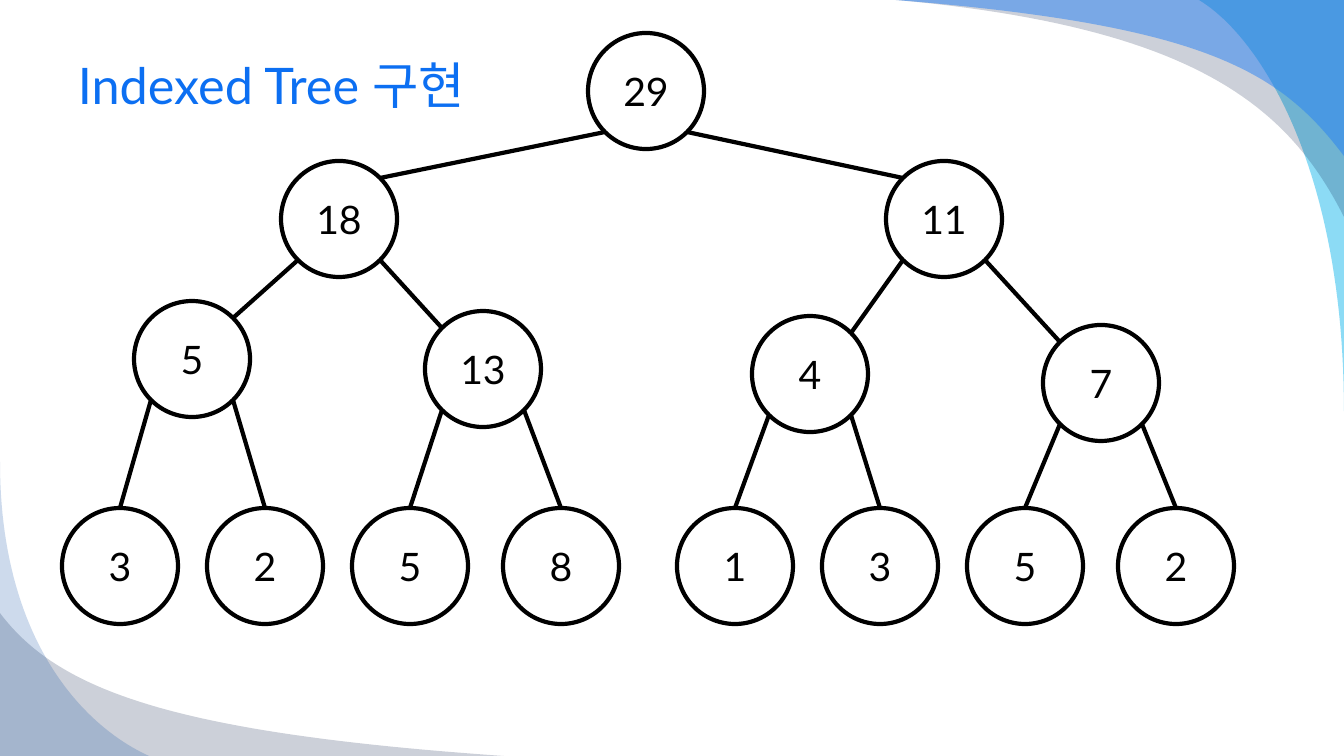
from dataclasses import dataclass
from lxml.etree import SubElement
from pptx import Presentation
from pptx.dml.color import RGBColor
from pptx.enum.shapes import MSO_CONNECTOR, MSO_SHAPE
from pptx.enum.text import MSO_ANCHOR, PP_ALIGN
from pptx.oxml.ns import qn
from pptx.util import Pt


@dataclass
class Theme:
    font: str = "Lato"
    title: RGBColor = RGBColor(0x0C, 0x6F, 0xF2)
    ink: RGBColor = RGBColor(0, 0, 0)
    paper: RGBColor = RGBColor(255, 255, 255)
    cyan: RGBColor = RGBColor(0x00, 0xB1, 0xE9)
    navy: RGBColor = RGBColor(0x02, 0x17, 0x41)
    blue: RGBColor = RGBColor(0x24, 0x7F, 0xF4)
    deep: RGBColor = RGBColor(0x08, 0x4A, 0xA1)
    title_size: Pt = Pt(36)
    node_size: Pt = Pt(28)
    stroke: Pt = Pt(3)


theme = Theme()
SCALE = 914400 / 100.8


def px(*values):
    return [round(v * SCALE) for v in values]


def style_text(shape, text, size, color, align):
    tf = shape.text_frame
    tf.word_wrap = True
    tf.vertical_anchor = MSO_ANCHOR.MIDDLE
    tf.text = text
    p = tf.paragraphs[0]
    p.alignment = align
    font = p.runs[0].font
    font.name, font.size, font.color.rgb = theme.font, size, color


prs = Presentation()
prs.slide_width, prs.slide_height = px(1344, 756)
s = prs.slides.add_slide(prs.slide_layouts[6])

swooshes = [
    ((1344, 0), [(1199, 0), (1262, 38), (1344, 172), (1344, 411)], theme.cyan, 45),
    ((1344, 0), [(896, 0), (1194, 27), (1288, 106), (1344, 217)], theme.navy, 20),
    ((1344, 0), [(896, 0), (1205, 25), (1280, 71), (1344, 156)], theme.blue, 49),
    ((0, 756), [(0, 613), (58, 690), (172, 733), (504, 756)], theme.navy, 20),
    ((0, 756), [(0, 462), (0, 637), (81, 725), (149, 756)], theme.deep, 20),
]
STEPS = 48
for corner, controls, color, opacity in swooshes:
    curve = []
    for t in (i / STEPS for i in range(STEPS + 1)):
        weights = (1 - t) ** 3, 3 * t * (1 - t) ** 2, 3 * t * t * (1 - t), t ** 3
        curve.append(px(*(sum(w * c for w, c in zip(weights, axis)) for axis in zip(*controls))))
    fb = s.shapes.build_freeform(*px(*corner))
    fb.add_line_segments(curve, close=True)
    sp = fb.convert_to_shape()
    sp.shadow.inherit = False
    sp.line.fill.background()
    sp.fill.solid()
    sp.fill.fore_color.rgb = color
    clr = sp.fill._xPr.find(qn("a:solidFill"))[0]
    SubElement(clr, qn("a:alpha")).set("val", str(opacity * 1000))

title = s.shapes.add_textbox(*px(68, 33, 1210, 102))
style_text(title, "Indexed Tree 구현", theme.title_size, theme.title, PP_ALIGN.LEFT)

LEAF_TOP = 508
nodes = [
    (29, 588, 33),
    (18, 281, 161), (11, 886, 161),
    (5, 134, 301), (13, 425, 311), (4, 752, 316), (7, 1043, 325),
]
leaves = [(3, 62), (2, 207), (5, 352), (8, 503), (1, 677), (3, 822), (5, 967), (2, 1118)]
nodes += [(value, left, LEAF_TOP) for value, left in leaves]

SIZE = 116
NEAR = 17
FAR = SIZE - NEAR
for value, left, top in nodes:
    sp = s.shapes.add_shape(MSO_SHAPE.OVAL, *px(left, top, SIZE, SIZE))
    sp.shadow.inherit = False
    sp.fill.solid()
    sp.fill.fore_color.rgb = theme.paper
    sp.line.color.rgb = theme.ink
    sp.line.width = theme.stroke
    style_text(sp, str(value), theme.node_size, theme.ink, PP_ALIGN.CENTER)

for child in range(1, len(nodes)):
    _, left, top = nodes[child]
    _, parent_left, parent_top = nodes[(child - 1) // 2]
    is_left = child % 2 == 1
    start = parent_left + (NEAR if is_left else FAR), parent_top + FAR
    if top == LEAF_TOP:
        end = left + SIZE / 2, top
    else:
        end = left + (FAR if is_left else NEAR), top + NEAR
    edge = s.shapes.add_connector(MSO_CONNECTOR.STRAIGHT, *px(*start, *end))
    edge.line.color.rgb = theme.ink
    edge.line.width = theme.stroke
    SubElement(edge._element.spPr, qn("a:effectLst"))

prs.save("out.pptx")
